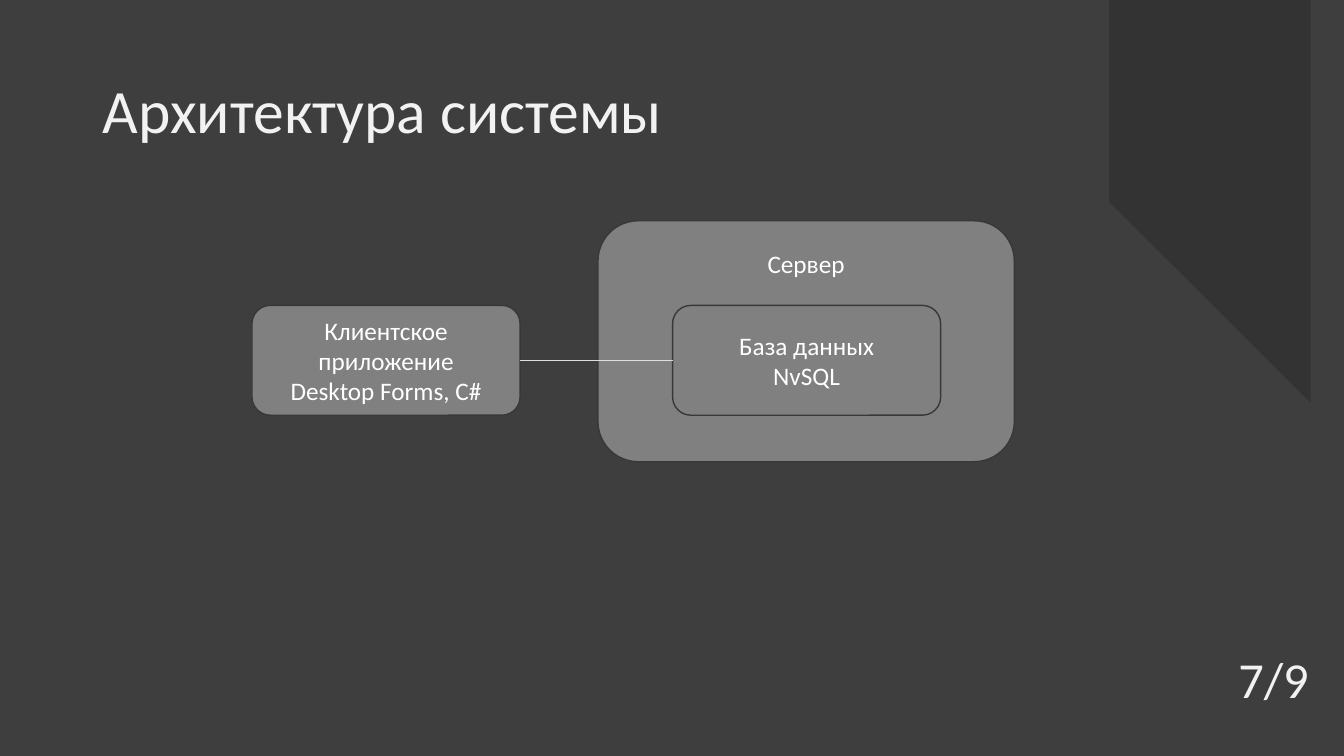
from pptx import Presentation
from pptx.dml.color import RGBColor
from pptx.enum.shapes import MSO_CONNECTOR, MSO_SHAPE
from pptx.enum.text import MSO_ANCHOR, PP_ALIGN
from pptx.oxml.ns import qn
from pptx.util import Inches, Pt
from lxml import etree

LEFT, CENTER, RIGHT = PP_ALIGN.LEFT, PP_ALIGN.CENTER, PP_ALIGN.RIGHT
TOP, MIDDLE = MSO_ANCHOR.TOP, MSO_ANCHOR.MIDDLE
ROUNDED, STRAIGHT = MSO_SHAPE.ROUNDED_RECTANGLE, MSO_CONNECTOR.STRAIGHT

# Content: places are left, top, width, height in percent of the slide
WIDTH, HEIGHT = 13.33, 7.5
FONT = "Calibri"
COLORS = {"background": "3E3E3E", "blob": "333333", "box": "808080",
          "border": "383838", "link": "DDDDDD", "heading": "F2F2F2",
          "label": "FFFFFF"}
NODE_TOP, NODE_WIDTH, NODE_HEIGHT = 40.4, 19.95, 14.53
CLIENT_LEFT, DATABASE_LEFT = 18.75, 50.04
BOXES = [
    ((44.49, 29.2, 30.98, 31.87), []),
    ((CLIENT_LEFT, NODE_TOP, NODE_WIDTH, NODE_HEIGHT),
     ["Клиентское приложение", "Desktop Forms, C#"]),
    ((DATABASE_LEFT, NODE_TOP, NODE_WIDTH, NODE_HEIGHT),
     ["База данных", "NvSQL"]),
]
LABELS = [
    ("Архитектура системы", (6.9, 5.33, 86.27, 19.33),
     {"size": 44, "color": "heading", "align": LEFT, "anchor": MIDDLE,
      "spacing": 0.9, "wrap": True}),
    ("7/9", (89.42, 81.07, 8.7, 17.33),
     {"size": 36, "color": "heading", "align": RIGHT, "anchor": MIDDLE,
      "wrap": True}),
    ("Сервер", (56.26, 32.13, 7.43, 5.33),
     {"size": 18, "color": "label", "align": CENTER, "anchor": TOP,
      "wrap": False}),
]
NODE_TEXT = {"size": 18, "color": "label", "align": CENTER, "anchor": MIDDLE,
             "wrap": True}
# Corner blob: cubic curves in inches along its lower left edge
BLOB_CURVES = [
    ((10.5, 0), (10.55, 1.54), (11.55, 2.59), (12.21, 3.27)),
    ((12.21, 3.27), (12.55, 3.61), (12.91, 3.74), (WIDTH, 3.79)),
]
CURVE_STEPS = 24


def color(name):
    return RGBColor.from_string(COLORS[name])


def place(left, top, width, height):
    return [Inches(share * side / 100) for share, side in
            ((left, WIDTH), (top, HEIGHT), (width, WIDTH), (height, HEIGHT))]


def curve_point(curve, t):
    weights = ((1 - t) ** 3, 3 * t * (1 - t) ** 2, 3 * t * t * (1 - t), t ** 3)
    return tuple(sum(w * point[axis] for w, point in zip(weights, curve))
                 for axis in (0, 1))


def write(frame, lines, style):
    frame.word_wrap = style["wrap"]
    frame.vertical_anchor = style["anchor"]
    for index, line in enumerate(lines):
        paragraph = frame.paragraphs[0] if index == 0 else frame.add_paragraph()
        paragraph.alignment = style["align"]
        paragraph.line_spacing = style.get("spacing")
        run = paragraph.add_run()
        run.text = line
        for key, value in {"name": FONT, "size": Pt(style["size"])}.items():
            setattr(run.font, key, value)
        run.font.color.rgb = color(style["color"])


def paint(shape, fill):
    shape.shadow.inherit = False
    shape.fill.solid()
    shape.fill.fore_color.rgb = color(fill)


def add_blob(slide):
    edge = [curve_point(curve, step / CURVE_STEPS)
            for curve in BLOB_CURVES for step in range(CURVE_STEPS + 1)]
    builder = slide.shapes.build_freeform(*edge[0], scale=Inches(1))
    builder.add_line_segments(edge[1:] + [(WIDTH, 0)], close=True)
    blob = builder.convert_to_shape()
    paint(blob, "blob")
    blob.line.fill.background()


def add_box(slide, area, lines):
    box = slide.shapes.add_shape(ROUNDED, *place(*area))
    paint(box, "box")
    box.line.color.rgb = color("border")
    box.line.width = Pt(1)
    write(box.text_frame, lines, NODE_TEXT)
    return box


def add_link(slide, start, end):
    link = slide.shapes.add_connector(STRAIGHT, 0, 0, 0, 0)
    link.begin_connect(start, 3)
    link.end_connect(end, 1)
    link.line.color.rgb = color("link")
    link.line.width = Pt(0.5)
    etree.SubElement(link._element.spPr, qn("a:effectLst"))


def main():
    deck = Presentation()
    deck.slide_width, deck.slide_height = Inches(WIDTH), Inches(HEIGHT)
    slide = deck.slides.add_slide(deck.slide_layouts[6])
    slide.background.fill.solid()
    slide.background.fill.fore_color.rgb = color("background")

    # Backdrop, then the diagram
    add_blob(slide)
    server, client, database = [add_box(slide, *box) for box in BOXES]
    add_link(slide, client, database)

    # Title, page number and server caption
    for text, area, style in LABELS:
        label = slide.shapes.add_textbox(*place(*area))
        write(label.text_frame, [text], style)

    deck.save("out.pptx")


if __name__ == "__main__":
    main()
